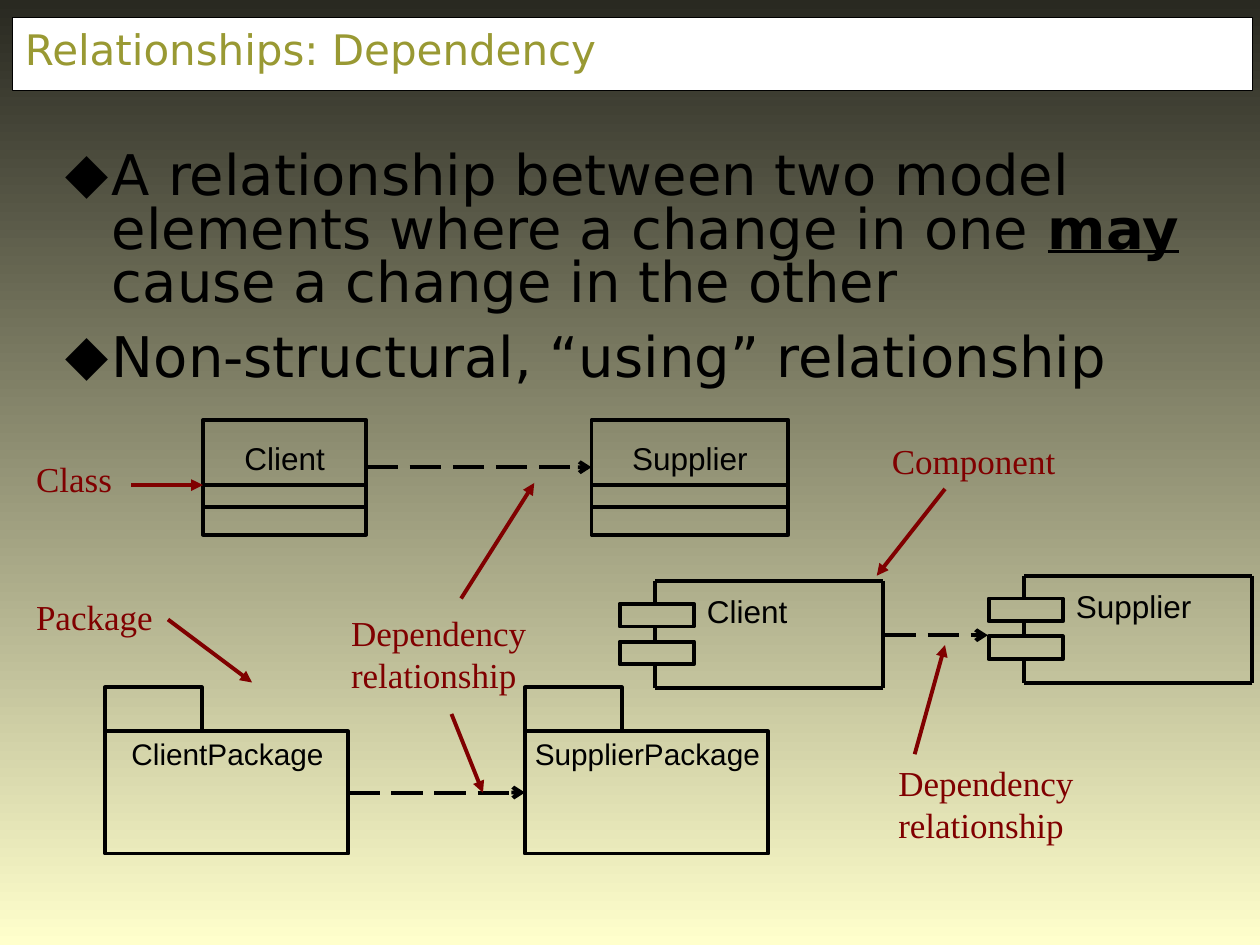
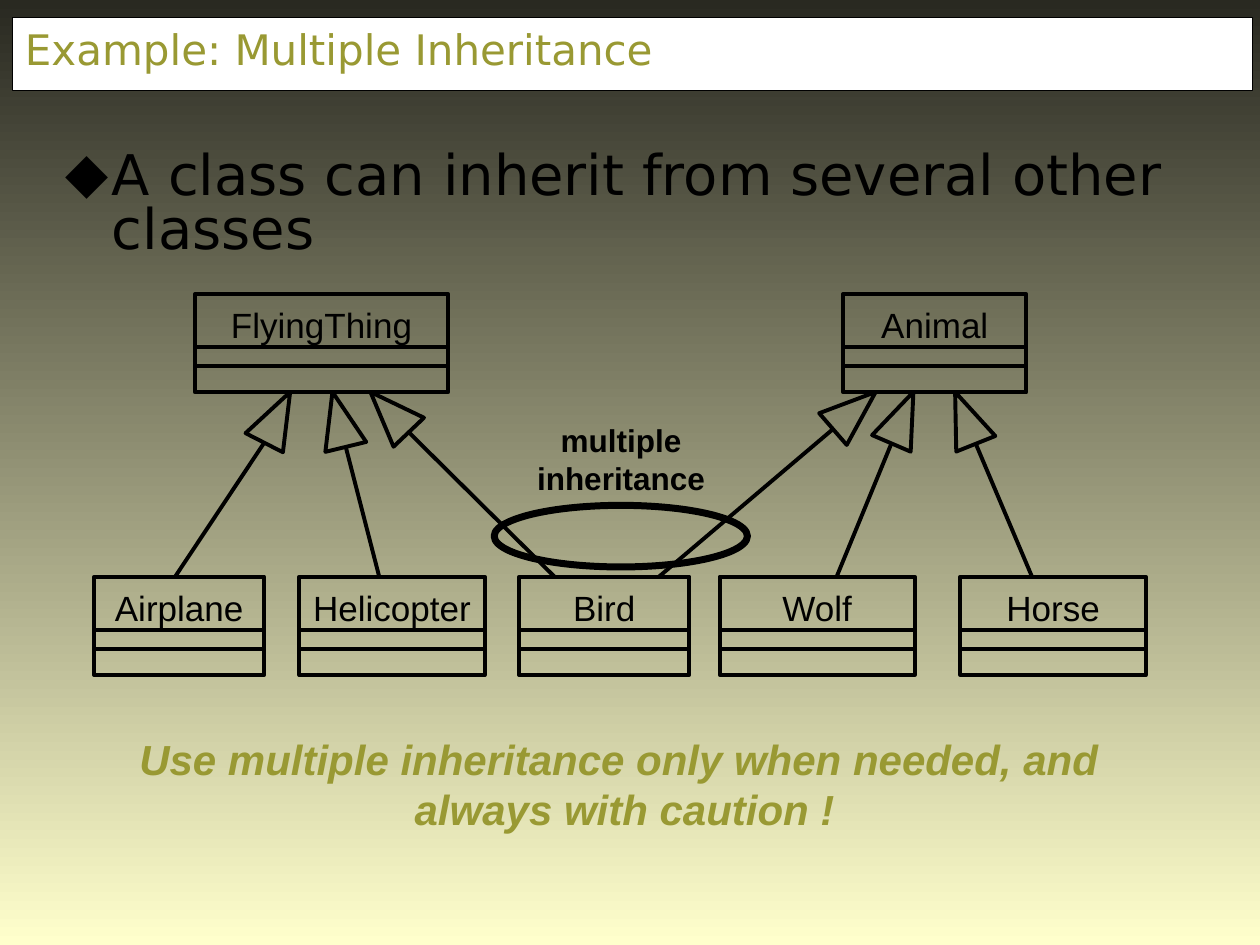
import math

import pptx
import pptx.dml.color
import pptx.enum.dml
import pptx.enum.shapes
import pptx.enum.text
import pptx.oxml.ns
import pptx.util
from lxml import etree

Pt = pptx.util.Pt
RGBColor = pptx.dml.color.RGBColor
SHAPE = pptx.enum.shapes.MSO_SHAPE
ALIGN = pptx.enum.text.PP_ALIGN
qn = pptx.oxml.ns.qn

BLACK = RGBColor(0x00, 0x00, 0x00)
WHITE = RGBColor(0xFF, 0xFF, 0xFF)
OLIVE = RGBColor(0x99, 0x99, 0x33)
MAROON = RGBColor(0x80, 0x00, 0x00)
DARK = RGBColor(0x29, 0x29, 0x21)
CREAM = RGBColor(0xFF, 0xFF, 0xCC)

HEADING_FONT = "DejaVu Sans"
DIAGRAM_FONT = "Arial"
NOTE_FONT = "Times New Roman"

LINE_WIDTH = 2.25
HEAD_HALF_WIDTH = 12
PARENT_BOTTOM = 224
CHILD_TOP = 329.5
TALL_CLASS = {"h": 65.5, "dividers": (37.3, 49.6), "pad": 10.8, "size": 18}
SHORT_CLASS = {"h": 56.2, "dividers": (30.3, 41.3), "pad": 5.4, "size": 20}


def pts(*values):
    return [Pt(v) for v in values]


def format_runs(p, size, font, color, bold=None, italic=None):
    for r in p.runs:
        r.font.size = Pt(size)
        r.font.name = font
        r.font.color.rgb = color
        r.font.bold = bold
        r.font.italic = italic


def set_insets(tf, side, top):
    tf.margin_left = tf.margin_right = Pt(side)
    tf.margin_top = tf.margin_bottom = Pt(top)


def add_text(slide, text, x, y, w, h, size, font=DIAGRAM_FONT, color=BLACK,
             align=ALIGN.CENTER, wrap=True, insets=(0, 0), bold=None, italic=None):
    tf = slide.shapes.add_textbox(*pts(x, y, w, h)).text_frame
    tf.word_wrap = wrap
    set_insets(tf, *insets)
    tf.text = text
    for p in tf.paragraphs:
        p.alignment = align
        format_runs(p, size, font, color, bold, italic)
    return tf


def style_outline(sp, width=LINE_WIDTH):
    sp.shadow.inherit = False
    sp.fill.background()
    sp.line.color.rgb = BLACK
    sp.line.width = Pt(width)
    return sp


def add_outline(slide, x, y, w, h, kind=SHAPE.RECTANGLE, width=LINE_WIDTH):
    return style_outline(slide.shapes.add_shape(kind, *pts(x, y, w, h)), width)


def add_line(slide, x1, y1, x2, y2, color=BLACK, head=None, dashed=False):
    sp = slide.shapes.add_connector(
        pptx.enum.shapes.MSO_CONNECTOR.STRAIGHT, *pts(x1, y1, x2, y2))
    sp.line.color.rgb = color
    sp.line.width = Pt(LINE_WIDTH)
    if dashed:
        sp.line.dash_style = pptx.enum.dml.MSO_LINE.LONG_DASH
    spPr = sp._element.spPr
    if head:
        etree.SubElement(spPr.find(qn("a:ln")), qn("a:tailEnd"), type=head)
    etree.SubElement(spPr, qn("a:effectLst"))
    return sp


def add_dependency(slide, x1, x2, y):
    return add_line(slide, x1, y, x2, y, head="arrow", dashed=True)


def add_pointer(slide, x1, y1, x2, y2):
    add_line(slide, x1, y1, x2, y2, MAROON, head="triangle")


def add_note(slide, text, x, y, w, h):
    tf = add_text(slide, text, x, y, w, h, 20, NOTE_FONT, MAROON,
                  ALIGN.LEFT, insets=(8.6, 4.3))
    tf.paragraphs[0].space_before = Pt(12.5)


def add_class(slide, name, x, y, w, h, dividers, pad, size):
    add_outline(slide, x, y, w, h)
    add_text(slide, name, x, y + pad, w, size * 1.2, size, wrap=False)
    for dy in dividers:
        add_line(slide, x, y + dy, x + w, y + dy)


def add_package(slide, name, x, y):
    body = add_outline(slide, x, y, 139, 69.8)
    add_outline(slide, x, y - 25.2, 55.4, 25.2)
    add_text(slide, name, x, y + 2.2, 140, 20.2, 17, wrap=False)
    return body


def add_component(slide, name, x, y):
    w, h, tab_h = 130.3, 61.2, 13
    tab_tops = (13, 34.6)
    right, bottom = x + w, y + h
    add_line(slide, right, y, right, bottom)
    for edge in (y, bottom):
        add_line(slide, right, edge, x, edge)
    starts = (0, *(top + tab_h for top in tab_tops))
    for start, end in zip(starts, (*tab_tops, h)):
        add_line(slide, x, y + start, x, y + end)
    for top in tab_tops:
        add_outline(slide, x - 20.4, y + top, 42.5, tab_h)
    add_text(slide, name, x + 29.5, y + 6.6, 90, 21.6, 18, align=ALIGN.LEFT)


def add_generalization(slide, child_x, tip_x, base_x, base_y):
    add_line(slide, child_x, CHILD_TOP, base_x, base_y)
    dx, dy = base_x - tip_x, base_y - PARENT_BOTTOM
    scale = HEAD_HALF_WIDTH / math.hypot(dx, dy)
    ox, oy = dy * scale, -dx * scale
    builder = slide.shapes.build_freeform(*pts(tip_x, PARENT_BOTTOM))
    builder.add_line_segments(
        [pts(base_x + ox, base_y + oy), pts(base_x - ox, base_y - oy)], close=True)
    style_outline(builder.convert_to_shape())


def add_title(slide, title):
    sp = add_outline(slide, 7.2, 10, 708.5, 41.8, width=0.75)
    sp.fill.solid()
    sp.fill.fore_color.rgb = WHITE
    tf = sp.text_frame
    tf.word_wrap = True
    tf.vertical_anchor = pptx.enum.text.MSO_ANCHOR.TOP
    set_insets(tf, 7.2, 3.6)
    tf.text = title
    p = tf.paragraphs[0]
    p.alignment = ALIGN.LEFT
    format_runs(p, 24, HEADING_FONT, OLIVE)


def add_bullets(slide, items):
    tf = slide.shapes.add_textbox(*pts(28.8, 82.8, 669, 397.4)).text_frame
    tf.word_wrap = True
    set_insets(tf, 8.6, 4.3)
    for i, item in enumerate(items):
        p = tf.add_paragraph() if i else tf.paragraphs[0]
        for part in item:
            p.add_run().text = part
        format_runs(p, 32, HEADING_FONT, BLACK)
        for r in p.runs[1:2]:
            r.font.bold = r.font.underline = True
        p.line_spacing = 0.8
        p.space_before = Pt(12)
        pPr = p._p.get_or_add_pPr()
        pPr.set("marL", str(Pt(26.6)))
        pPr.set("indent", str(-Pt(26.6)))
        color = etree.SubElement(pPr, qn("a:buClr"))
        etree.SubElement(color, qn("a:srgbClr"), val=str(BLACK))
        etree.SubElement(pPr, qn("a:buFont"), typeface=HEADING_FONT)
        etree.SubElement(pPr, qn("a:buChar"), char="◆")


def new_slide(prs, title, bullets):
    slide = prs.slides.add_slide(prs.slide_layouts[6])
    fill = slide.background.fill
    fill.gradient()
    fill.gradient_angle = 270
    for stop, color in zip(fill.gradient_stops, (DARK, CREAM)):
        stop.color.rgb = color
    add_title(slide, title)
    add_bullets(slide, bullets)
    return slide


def build_dependency(prs):
    slide = new_slide(prs, "Relationships: Dependency", [
        ("A relationship between two model elements where a change in one ",
         "may", " cause a change in the other"),
        ("Non-structural, “using” relationship",),
    ])
    add_class(slide, "Client", 116, 240, 93.3, **TALL_CLASS)
    add_class(slide, "Supplier", 338, 240, 112.5, **TALL_CLASS)
    add_dependency(slide, 209.5, 338, 267)

    client = add_package(slide, "ClientPackage", 60, 418)
    supplier = add_package(slide, "SupplierPackage", 300, 418)
    link = add_dependency(slide, 199, 300, 453)
    link.begin_connect(client, 3)
    link.end_connect(supplier, 1)

    add_component(slide, "Client", 374.5, 332)
    add_component(slide, "Supplier", 585.3, 329)
    add_dependency(slide, 505.4, 564.5, 363)

    for note in (
        ("Class", 12, 257, 90, 32.4),
        ("Package", 12, 336, 90, 32.4),
        ("Component", 501, 247, 116.6, 32.4),
        ("Dependency relationship", 192, 345, 132, 57),
        ("Dependency relationship", 504.7, 431, 132, 57),
    ):
        add_note(slide, *note)
    for pointer in (
        (75, 277.2, 116, 277.2),
        (96, 354, 144, 390),
        (263.5, 342, 305.3, 276),
        (258, 408, 276, 453),
        (522.7, 431, 540, 368.6),
        (540, 279.4, 501, 329),
    ):
        add_pointer(slide, *pointer)


def build_inheritance(prs):
    slide = new_slide(prs, "Example: Multiple Inheritance", [
        ("A class can inherit from several other classes",),
    ])
    for name, x, w in (("FlyingThing", 111.4, 144.7), ("Animal", 481.9, 104.6)):
        add_class(slide, name, x, 168, w, **SHORT_CLASS)
    for name, x, w in (
        ("Airplane", 53.8, 97.2),
        ("Helicopter", 171, 106),
        ("Bird", 296.7, 97.2),
        ("Wolf", 411.3, 111.4),
        ("Horse", 548.8, 106),
    ):
        add_class(slide, name, x, CHILD_TOP, w, **SHORT_CLASS)
    for child_x, tip_x, base_x, base_y in (
        (100.1, 165.8, 151, 253),
        (216.7, 190, 197.6, 255.4),
        (316.8, 211.7, 233.6, 247),
        (376.6, 500.4, 476, 245.2),
        (478.1, 522, 509.4, 253.4),
        (589.7, 545.8, 557.6, 253.6),
    ):
        add_generalization(slide, child_x, tip_x, base_x, base_y)
    add_outline(slide, 282.4, 288.8, 144.7, 35.2, SHAPE.OVAL, 4)
    add_text(slide, "multiple\ninheritance", 299.5, 237, 110.9, 50.4, 18,
             wrap=False, insets=(7.2, 3.6), bold=True)
    add_text(slide, "Use multiple inheritance only when needed, and \nalways with caution !",
             30, 415.4, 654, 64.8, 24, color=OLIVE, insets=(7.2, 3.6),
             bold=True, italic=True)


def main():
    prs = pptx.Presentation()
    prs.slide_width, prs.slide_height = pts(720, 540)
    build_dependency(prs)
    build_inheritance(prs)
    prs.save("out.pptx")


if __name__ == "__main__":
    main()
